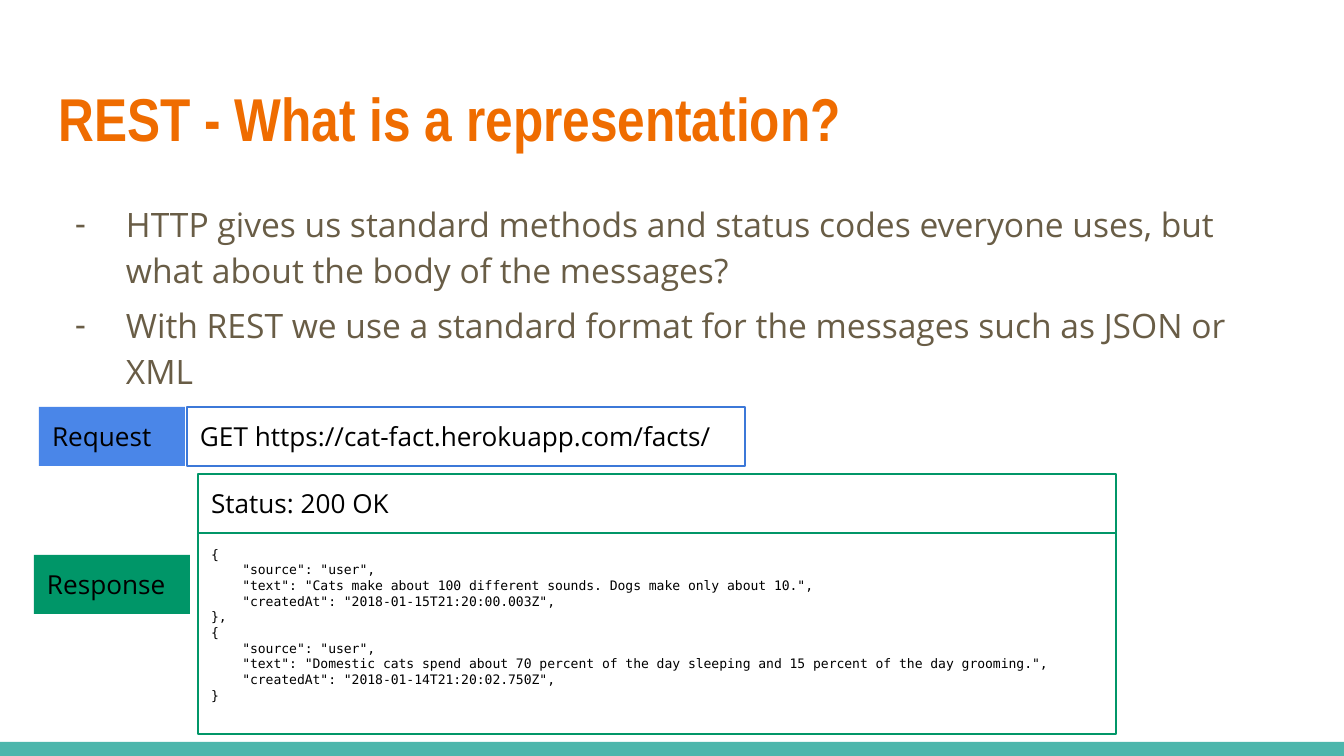
from dataclasses import dataclass

from lxml import etree
from pptx import Presentation
from pptx.dml.color import RGBColor
from pptx.enum.shapes import MSO_SHAPE
from pptx.enum.text import MSO_ANCHOR, MSO_AUTO_SIZE, PP_ALIGN
from pptx.oxml.ns import qn
from pptx.util import Emu, Pt

RECT = MSO_SHAPE.RECTANGLE
TOP, MIDDLE = MSO_ANCHOR.TOP, MSO_ANCHOR.MIDDLE
FIT, NO_FIT = MSO_AUTO_SIZE.TEXT_TO_FIT_SHAPE, MSO_AUTO_SIZE.NONE
LEFT = PP_ALIGN.LEFT
TWO_CONTENT = 3
SLIDE_W, SLIDE_H = 1344, 756
EMU_PER_PX = 9144000 / SLIDE_W


@dataclass(frozen=True)
class Theme:
    """Colours, fonts and type sizes of the slide."""
    title: str = "EF6C00"
    body: str = "695D46"
    ink: str = "000000"
    bar: str = "4DB6AC"
    request: str = "4A86E8"
    request_line: str = "3C78D8"
    response: str = "009668"
    response_line: str = "019668"
    title_font: str = "Arial Narrow"
    body_font: str = "Open Sans"
    code_font: str = "DejaVu Sans Mono"
    title_size: float = 32.4
    body_size: float = 18
    label_size: float = 14
    code_size: float = 7
    line_width: float = 1.5


THEME = Theme()

BULLETS = [
    "HTTP gives us standard methods and status codes everyone uses, but what about the body of the messages?",
    "With REST we use a standard format for the messages such as JSON or XML",
]

RESPONSE_BODY = """{
    "source": "user",
    "text": "Cats make about 100 different sounds. Dogs make only about 10.",
    "createdAt": "2018-01-15T21:20:00.003Z",
},
{
    "source": "user",
    "text": "Domestic cats spend about 70 percent of the day sleeping and 15 percent of the day grooming.",
    "createdAt": "2018-01-14T21:20:02.750Z",
}"""


def px(n):
    """Turn pixels into EMU."""
    return Emu(round(n * EMU_PER_PX))


def rgb(color):
    """Turn a hex string into a colour."""
    return RGBColor.from_string(color)


def place(sp, box):
    """Move and size a shape to a pixel box."""
    sp.left, sp.top, sp.width, sp.height = map(px, box)


def frame(sp, anchor, fit=NO_FIT):
    """Set wrapping, insets and anchor, and return the text frame."""
    tf = sp.text_frame
    tf.word_wrap = True
    tf.auto_size = fit
    tf.vertical_anchor = anchor
    tf.margin_left = tf.margin_right = tf.margin_top = tf.margin_bottom = px(13)
    return tf


def add_text(p, text, font, size, color, bold=False):
    """Add one left-aligned run to a paragraph."""
    p.alignment = LEFT
    p.space_before = Pt(0)
    r = p.add_run()
    r.text = text
    r.font.name, r.font.size, r.font.bold = font, Pt(size), bold
    r.font.color.rgb = rgb(color)


def add_bullet(p, char, color, indent, hanging):
    """Give a paragraph a coloured bullet and a hanging indent."""
    pPr = p._p.get_or_add_pPr()
    pPr.set("marL", str(px(indent)))
    pPr.set("indent", str(-px(hanging)))
    clr = etree.SubElement(pPr, qn("a:buClr"))
    etree.SubElement(clr, qn("a:srgbClr"), val=color)
    etree.SubElement(pPr, qn("a:buChar"), char=char)


def fill_title(sp, text):
    """Place and write the title."""
    place(sp, (46, 66, 1253, 103))
    p = frame(sp, MIDDLE).paragraphs[0]
    add_text(p, text, THEME.title_font, THEME.title_size, THEME.title, True)


def fill_body(sp, text, top):
    """Place a body placeholder and write its bullet."""
    place(sp, (46, top, 1253, 129))
    p = frame(sp, TOP, FIT).paragraphs[0]
    add_bullet(p, "-", THEME.body, 67, 51)
    p.line_spacing = 1.15
    add_text(p, text, THEME.body_font, THEME.body_size, THEME.body)


def add_box(s, box, fill=None, line=None):
    """Add a rectangle with an optional fill and outline."""
    sp = s.shapes.add_shape(RECT, *map(px, box))
    sp.shadow.inherit = False
    if fill:
        sp.fill.solid()
        sp.fill.fore_color.rgb = rgb(fill)
    else:
        sp.fill.background()
    if line:
        sp.line.color.rgb = rgb(line)
        sp.line.width = Pt(THEME.line_width)
    else:
        sp.line.fill.background()
    return sp


def add_label(s, text, box, fill=None, line=None):
    """Add a rectangle holding one line of label text."""
    p = frame(add_box(s, box, fill, line), TOP).paragraphs[0]
    add_text(p, text, THEME.body_font, THEME.label_size, THEME.ink)


def add_code(s, code, box, line):
    """Add an outlined rectangle with one paragraph per code line."""
    tf = frame(add_box(s, box, line=line), TOP)
    for i, row in enumerate(code.splitlines()):
        p = tf.add_paragraph() if i else tf.paragraphs[0]
        add_text(p, row, THEME.code_font, THEME.code_size, THEME.ink)


def main():
    """Build the slide and save it."""
    prs = Presentation()
    prs.slide_width, prs.slide_height = px(SLIDE_W), px(SLIDE_H)
    s = prs.slides.add_slide(prs.slide_layouts[TWO_CONTENT])
    title, *bodies = s.placeholders
    add_box(s, (0, 742, SLIDE_W, 14), THEME.bar)
    fill_title(title, "REST - What is a representation?")
    for sp, text, top in zip(bodies, BULLETS, (185, 286)):
        fill_body(sp, text, top)
    add_code(s, RESPONSE_BODY, (198, 533, 918, 201), THEME.response_line)
    add_label(s, "GET https://cat-fact.herokuapp.com/facts/", (187, 407, 558, 59), line=THEME.request_line)
    add_label(s, "Request", (39, 407, 146, 59), THEME.request)
    add_label(s, "Response", (34, 555, 156, 59), THEME.response)
    add_label(s, "Status: 200 OK", (198, 474, 918, 59), line=THEME.response_line)
    prs.save("out.pptx")


if __name__ == "__main__":
    main()
